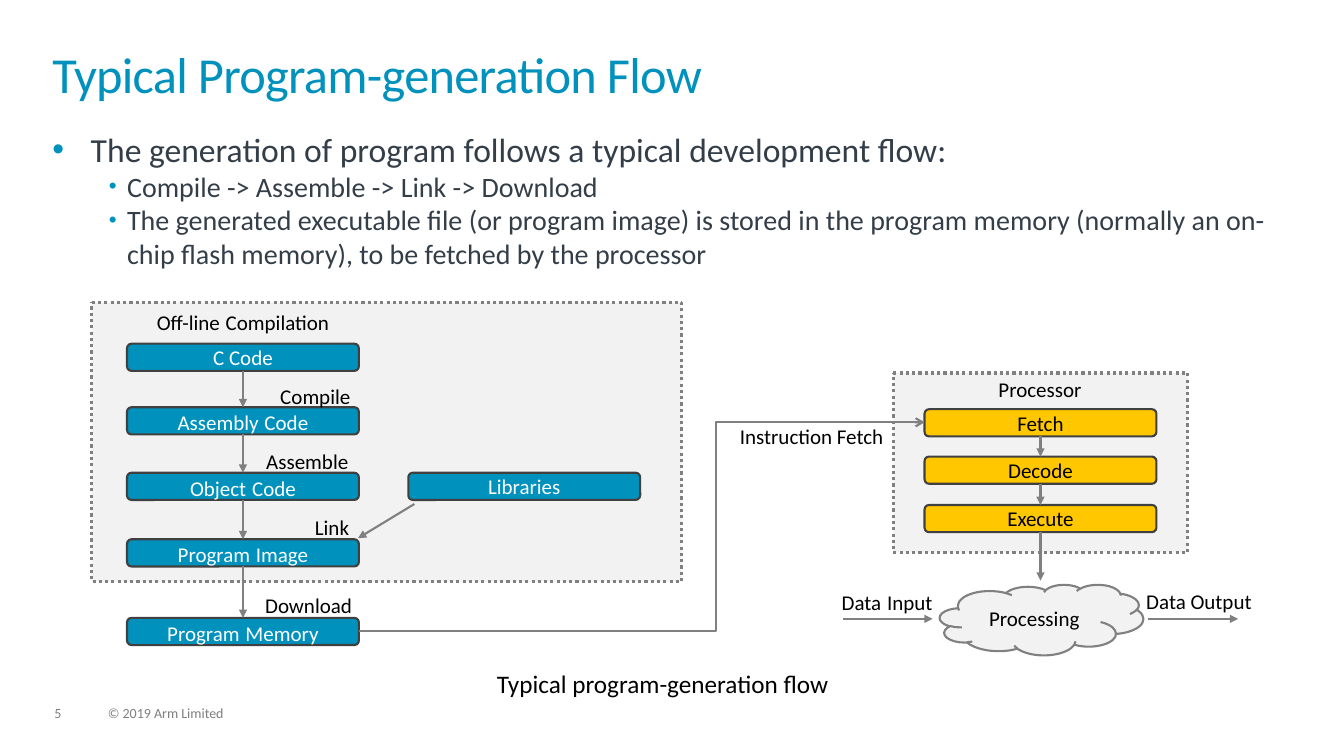
from lxml import etree
from pptx import Presentation
from pptx import util as u
from pptx.dml.color import RGBColor
from pptx.enum import dml, shapes, text
from pptx.oxml.ns import qn

PX = 9144
FONT = "Calibri"
BLUE, YELLOW, PALE = "0091BD", "FFC700", "F2F2F2"
GREY, DARK, BLACK, WHITE = "808080", "404040", "000000", "FFFFFF"
INK, FOOT = "333E48", "7F7F7F"
LEFT, CENTER, RIGHT = text.PP_ALIGN.LEFT, text.PP_ALIGN.CENTER, text.PP_ALIGN.RIGHT

TITLE = "Typical Program-generation Flow"
BULLETS = [
    (0, "The generation of program follows a typical development flow:"),
    (1, "Compile -> Assemble -> Link -> Download"),
    (1, "The generated executable file (or program image) is stored in the program "
        "memory (normally an on-chip flash memory), to be fetched by the processor"),
]
LEVELS = [(24, 38, -38, 100), (20, 74, -18, 80)]
PANELS = [(91, 300, 585, 277), (886, 370, 292, 178)]
BOX_W, BOX_H = 230, 27
BUILD_X, LIBRARY_X, STAGE_X = 126, 405, 917
BUILD_STEPS = [("C Code", 341), ("Assembly| |Code", 404), ("Object| |Code", 469),
               ("Program| |Image", 535), ("Program| |Memory", 613)]
STAGES = [("Fetch", 406), ("Decode", 453), ("Execute", 501)]
CLOUD = (932, 580, 202, 70)
FREE_ARROWS = [(411, 500, 355, 534), (836, 614, 925, 614), (1139, 614, 1228, 614)]
LABELS = [
    ("Off-line| |Compilation", 126, 298, 230, 40, CENTER, 15),
    ("Compile| ", 244, 371, 119, 40, RIGHT, 15),
    ("Assemble| ", 233, 436, 128, 40, RIGHT, 15),
    ("Link", 254, 506, 102, 35, RIGHT, 15),
    ("Download", 234, 583, 125, 35, RIGHT, 15),
    ("Processor", 916, 369, 231, 35, CENTER, 15),
    ("Instruction Fetch| ", 724, 411, 176, 40, LEFT, 15),
    ("Data| |Input", 825, 576, 120, 40, LEFT, 15),
    ("Data Output", 1127, 579, 132, 35, LEFT, 15),
    ("Typical program-generation flow", 483, 658, 353, 40, LEFT, 18),
]
FOOTER = [("5", 54, 34), ("© 2019 Arm Limited", 107, 507)]

prs = Presentation()
prs.slide_width, prs.slide_height = 1333 * PX, 750 * PX
s = prs.slides.add_slide(prs.slide_layouts[1])


def rgb(value):
    return RGBColor.from_string(value)


def px(*lengths):
    return [n * PX for n in lengths]


def add_runs(p, label, size, color):
    for part in label.split("|"):
        r = p.add_run()
        r.text = part
        r.font.name = FONT
        r.font.size = u.Pt(18 if part == " " else size)
        r.font.color.rgb = rgb(color)


def clear_margins(tf):
    tf.margin_left = tf.margin_top = tf.margin_right = tf.margin_bottom = 0


def add_box(kind, place, fill, line, width, label="", color=BLACK):
    sp = s.shapes.add_shape(kind, *px(*place))
    sp.shadow.inherit = False
    sp.fill.solid()
    sp.fill.fore_color.rgb = rgb(fill)
    sp.line.color.rgb = rgb(line)
    sp.line.width = u.Pt(width)
    if label:
        tf = sp.text_frame
        tf.word_wrap = False
        tf.vertical_anchor = text.MSO_ANCHOR.MIDDLE
        tf.paragraphs[0].alignment = CENTER
        add_runs(tf.paragraphs[0], label, 15, color)
    return sp


def add_arrow(ends, kind=shapes.MSO_CONNECTOR.STRAIGHT, head="triangle"):
    c = s.shapes.add_connector(kind, *px(*ends))
    c.line.color.rgb = rgb(GREY)
    c.line.width = u.Pt(1.5)
    etree.SubElement(c.line._get_or_add_ln(), qn("a:tailEnd"), type=head)
    etree.SubElement(c._element.spPr, qn("a:effectLst"))
    return c


def add_label(label, x, y, w, h, align, size, color=BLACK):
    tf = s.shapes.add_textbox(*px(x, y, w, h)).text_frame
    tf.word_wrap = True
    p = tf.paragraphs[0]
    p.alignment = align
    add_runs(p, label, size, color)
    return tf


def add_column(steps, x, fill, color):
    boxes = [add_box(shapes.MSO_SHAPE.ROUNDED_RECTANGLE, (x, y, BOX_W, BOX_H),
                     fill, DARK, 1.5, label, color) for label, y in steps]
    mid = x + BOX_W // 2
    for upper, lower in zip(boxes, boxes[1:]):
        c = add_arrow((mid, 0, mid, 1))
        c.begin_connect(upper, 2)
        c.end_connect(lower, 0)
    return boxes


def place_holder(sp, place):
    sp.left, sp.top, sp.width, sp.height = px(*place)
    tf = sp.text_frame
    clear_margins(tf)
    tf.word_wrap = True
    tf.auto_size = text.MSO_AUTO_SIZE.NONE
    tf.vertical_anchor = text.MSO_ANCHOR.TOP
    return tf


title = place_holder(s.shapes.title, (52, 52, 1228, 72)).paragraphs[0]
title.alignment = LEFT
title.line_spacing = 0.85
add_runs(title, TITLE, 36, BLUE)
title.runs[0].font._element.set("spc", "-50")

body = place_holder(s.placeholders[1], (52, 128, 1228, 541))
for i, (level, line) in enumerate(BULLETS):
    p = body.add_paragraph() if i else body.paragraphs[0]
    size, margin, indent, bullet_size = LEVELS[level]
    p.level = level
    pPr = p._p.get_or_add_pPr()
    pPr.set("marL", str(margin * PX))
    pPr.set("indent", str(indent * PX))
    etree.SubElement(etree.SubElement(pPr, qn("a:buClr")), qn("a:srgbClr"), val=BLUE)
    etree.SubElement(pPr, qn("a:buSzPct"), val=str(bullet_size * 1000))
    etree.SubElement(pPr, qn("a:buFont"), typeface="Arial")
    etree.SubElement(pPr, qn("a:buChar"), char="•")
    p.space_before = p.space_after = u.Pt(0)
    add_runs(p, line, size, INK)

for place in PANELS:
    panel = add_box(shapes.MSO_SHAPE.ROUNDED_RECTANGLE, place, PALE, GREY, 2.25)
    panel.adjustments[0] = 0
    panel.line.dash_style = dml.MSO_LINE.ROUND_DOT

add_column(BUILD_STEPS, BUILD_X, BLUE, WHITE)
add_column([("Libraries", 469)], LIBRARY_X, BLUE, WHITE)
execute = add_column(STAGES, STAGE_X, YELLOW, BLACK)[-1]
add_box(shapes.MSO_SHAPE.CLOUD, CLOUD, PALE, GREY, 1.5, "Processing")

stage_mid = STAGE_X + BOX_W // 2
add_arrow((stage_mid, 528, stage_mid, 576)).begin_connect(execute, 2)
for ends in FREE_ARROWS:
    add_arrow(ends)

fetch_path = add_arrow((BUILD_X + BOX_W, 626, STAGE_X, 419),
                       shapes.MSO_CONNECTOR.ELBOW, "arrow")
guides = fetch_path._element.spPr.find(qn("a:prstGeom")).find(qn("a:avLst"))
etree.SubElement(guides, qn("a:gd"), name="adj1", fmla="val 63100")

for label in LABELS:
    add_label(*label)
for label, x, w in FOOTER:
    tf = add_label(label, x, 701, w, 15, LEFT, 10, FOOT)
    clear_margins(tf)
    tf.paragraphs[0].line_spacing = 0.9

prs.save("out.pptx")
